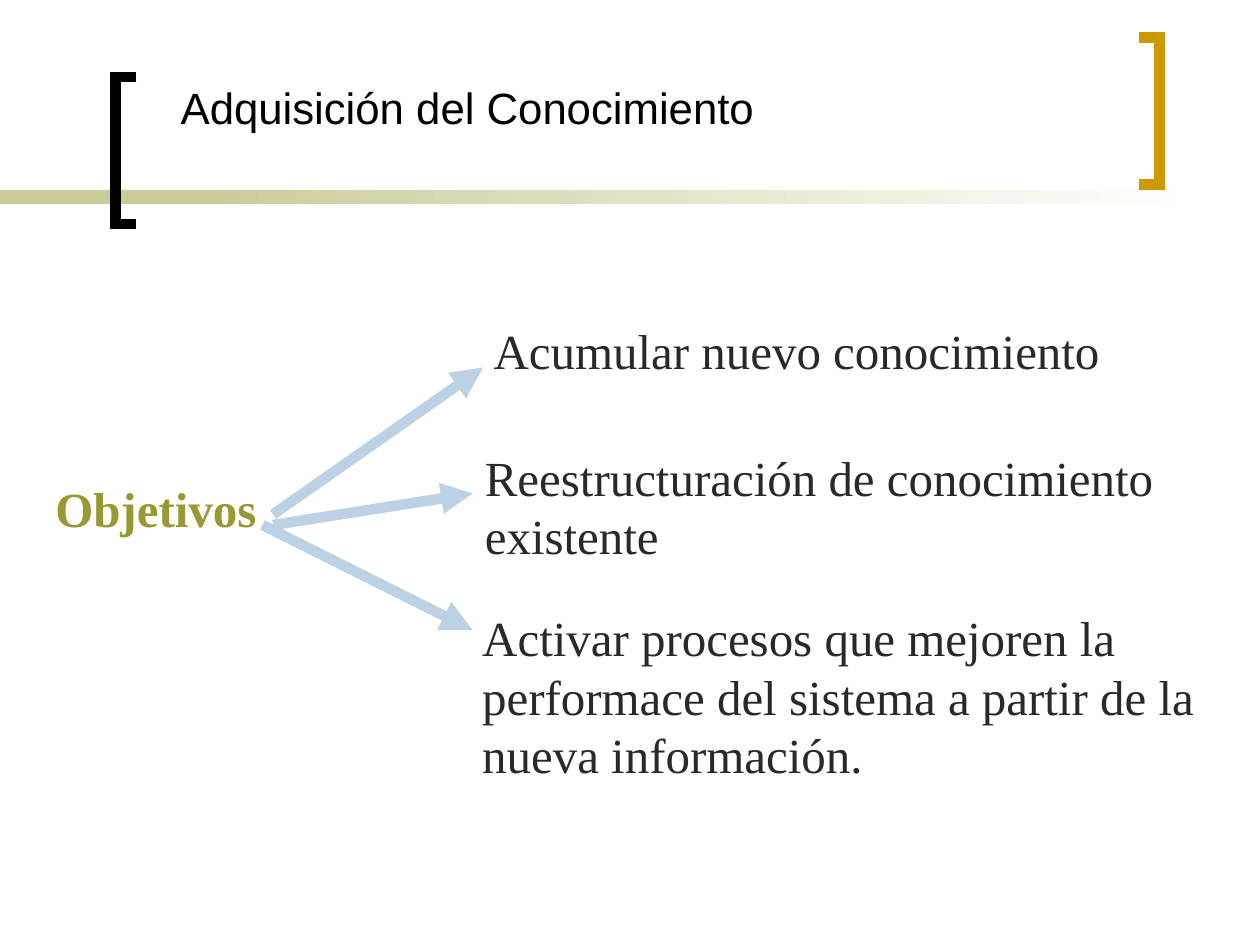
from lxml import etree
from pptx import Presentation
from pptx import util as u
from pptx.dml import color
from pptx.enum import shapes, text
from pptx.oxml import ns

COLORS = {
    "band": "CCCC99",
    "white": "FFFFFF",
    "black": "000000",
    "gold": "CC9900",
    "olive": "999933",
    "body": "292929",
    "arrow": "BDD1E5",
}


def rgb(name):
    return color.RGBColor.from_string(COLORS[name])


def write_text(frame, content, *, size, font, fill, bold=False, wrap=False,
               anchor=text.MSO_ANCHOR.TOP):
    frame.word_wrap = wrap
    frame.auto_size = text.MSO_AUTO_SIZE.NONE
    frame.vertical_anchor = anchor
    frame.margin_left = frame.margin_right = u.Pt(7.2)
    frame.margin_top = frame.margin_bottom = u.Pt(3.6)
    for index, line in enumerate(content.split("\n")):
        paragraph = frame.paragraphs[0] if index == 0 else frame.add_paragraph()
        paragraph.alignment = text.PP_ALIGN.LEFT
        run = paragraph.add_run()
        run.text = line
        run.font.size = u.Pt(size)
        run.font.name = font
        run.font.bold = bold
        run.font.color.rgb = rgb(fill)


class SlideBuilder:
    heading_font = "Arial"
    body_font = "Times New Roman"
    line_width = 6

    def __init__(self, slide):
        self.slide = slide

    def title(self, content, left, top, width, height):
        shape = self.slide.shapes.title
        shape.left, shape.top = u.Pt(left), u.Pt(top)
        shape.width, shape.height = u.Pt(width), u.Pt(height)
        write_text(shape.text_frame, content, size=25, font=self.heading_font,
                   fill="black", wrap=True, anchor=text.MSO_ANCHOR.BOTTOM)

    def label(self, content, left, top, width, height, fill="body", bold=False):
        shape = self.slide.shapes.add_textbox(
            u.Pt(left), u.Pt(top), u.Pt(width), u.Pt(height))
        write_text(shape.text_frame, content, size=28, font=self.body_font,
                   fill=fill, bold=bold)

    def band(self, left, width, end=None):
        shape = self.slide.shapes.add_shape(
            shapes.MSO_SHAPE.RECTANGLE, u.Pt(left), u.Pt(108.5), u.Pt(width), u.Pt(8))
        shape.shadow.inherit = False
        shape.line.fill.background()
        if end is None:
            shape.fill.solid()
            shape.fill.fore_color.rgb = rgb("band")
        else:
            shape.fill.gradient()
            shape.fill.gradient_angle = 0
            for stop, name, position in zip(
                    shape.fill.gradient_stops, ("band", end), (0, 1)):
                stop.color.rgb = rgb(name)
                stop.position = position

    def bracket(self, spine, tip, top, fill):
        bottom = top + 84
        builder = self.slide.shapes.build_freeform(u.Pt(tip), u.Pt(top))
        builder.add_line_segments(
            [(u.Pt(x), u.Pt(y)) for x, y in
             ((spine, top), (spine, bottom), (tip, bottom))], close=False)
        shape = builder.convert_to_shape()
        shape.shadow.inherit = False
        shape.fill.background()
        shape.line.width = u.Pt(self.line_width)
        shape.line.color.rgb = rgb(fill)
        etree.SubElement(shape.line._get_or_add_ln(), ns.qn("a:miter"), lim="800000")

    def arrow(self, start, end):
        connector = self.slide.shapes.add_connector(
            shapes.MSO_CONNECTOR.STRAIGHT, *map(u.Pt, (*start, *end)))
        connector.line.width = u.Pt(self.line_width)
        connector.line.color.rgb = rgb("arrow")
        etree.SubElement(connector.line._get_or_add_ln(), ns.qn("a:tailEnd"),
                         type="triangle")
        etree.SubElement(connector._element.spPr, ns.qn("a:effectLst"))


def main():
    presentation = Presentation()
    presentation.slide_width, presentation.slide_height = u.Pt(720), u.Pt(540)
    slide = presentation.slides.add_slide(presentation.slide_layouts[5])
    builder = SlideBuilder(slide)

    builder.band(0, 168)
    builder.band(114, 570, end="white")
    builder.bracket(spine=66, tip=78, top=44, fill="black")
    builder.bracket(spine=662.5, tip=651, top=21.5, fill="gold")
    builder.title("Adquisición del Conocimiento", 96, 42, 588, 37.5)

    builder.label("Objetivos", 24.5, 270, 129, 41, fill="olive", bold=True)
    builder.label("Acumular nuevo conocimiento", 275, 179.5, 361, 41)
    builder.label("Reestructuración de conocimiento\nexistente", 270, 252, 403, 75)
    builder.label("Activar procesos que mejoren la\n"
                  "performace del sistema a partir de la\n"
                  "nueva información.", 268.5, 343.5, 421, 108)

    for start, end in (((156, 294), (276, 210)),
                       ((156, 300), (270, 282)),
                       ((150, 300), (270, 360))):
        builder.arrow(start, end)

    presentation.save("out.pptx")


if __name__ == "__main__":
    main()
